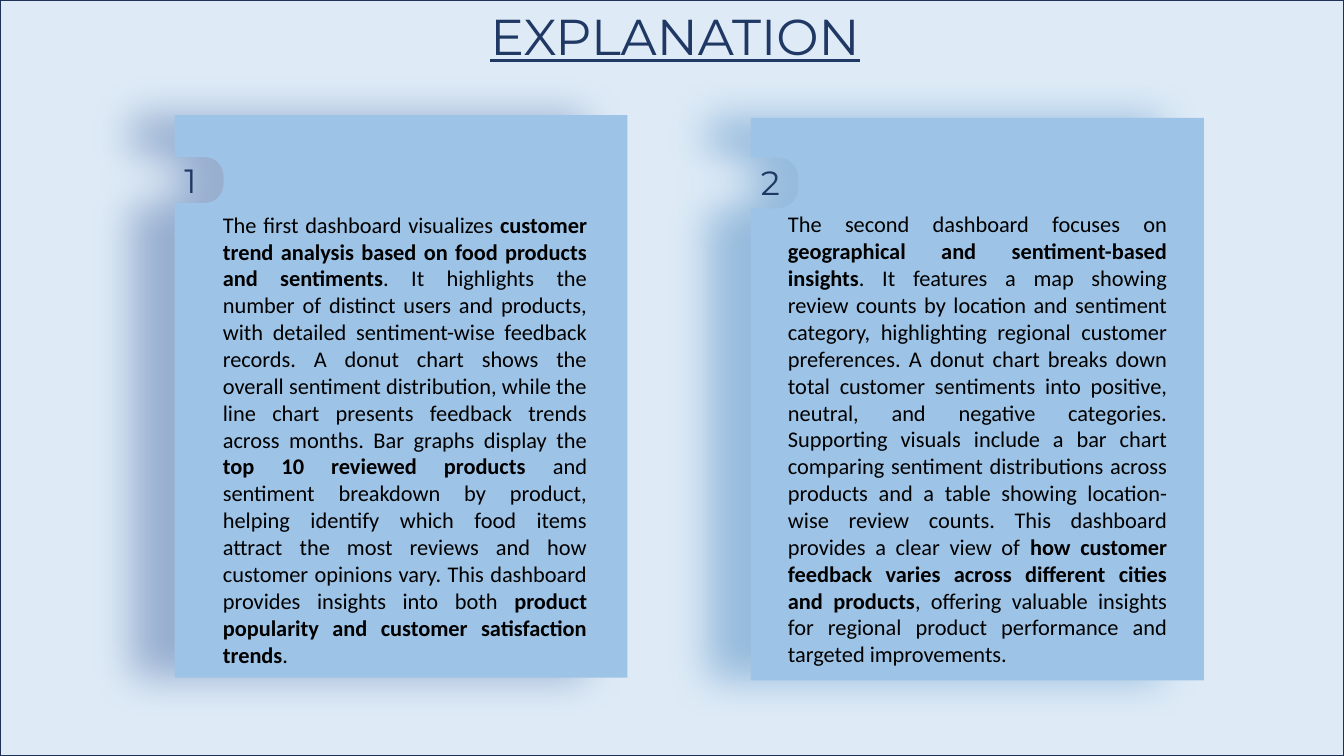
import math

import lxml.etree
import pptx
import pptx.dml.color
import pptx.enum.shapes
import pptx.enum.text
import pptx.oxml.ns
import pptx.util

Pt = pptx.util.Pt
RGB = pptx.dml.color.RGBColor
ALIGN = pptx.enum.text.PP_ALIGN
qn = pptx.oxml.ns.qn

PALE = RGB(0xDE, 0xEB, 0xF7)
CARD = RGB(0x9D, 0xC3, 0xE6)
NAVY = RGB(0x20, 0x38, 0x64)
BORDER = RGB(0x1E, 0x32, 0x56)
BLACK = RGB(0x00, 0x00, 0x00)
DEEP_BLUE = RGB(0x2F, 0x55, 0x97)
MID_BLUE = RGB(0x2E, 0x75, 0xB6)

WIDTH, HEIGHT = 960, 540
TITLE = {"name": "Montserrat", "size": Pt(36), "underline": True}
NUMBER = {"name": "Montserrat", "size": Pt(24)}
BODY = {"name": "Calibri", "size": Pt(16)}

# Body texts: every second part is bold
FIRST = [
    "The first dashboard visualizes ",
    "customer trend analysis based on food products and sentiments",
    ". It highlights the number of distinct users and products, with detailed "
    "sentiment-wise feedback records. A donut chart shows the overall sentiment "
    "distribution, while the line chart presents feedback trends across months. "
    "Bar graphs display the ",
    "top 10 reviewed products",
    " and sentiment breakdown by product, helping identify which food items "
    "attract the most reviews and how customer opinions vary. This dashboard "
    "provides insights into both ",
    "product popularity and customer satisfaction trends",
    ".",
]
SECOND = [
    "The second dashboard focuses on ",
    "geographical and sentiment-based insights",
    ". It features a map showing review counts by location and sentiment category, "
    "highlighting regional customer preferences. A donut chart breaks down total "
    "customer sentiments into positive, neutral, and negative categories. "
    "Supporting visuals include a bar chart comparing sentiment distributions "
    "across products and a table showing location-wise review counts. This "
    "dashboard provides a clear view of ",
    "how customer feedback varies across different cities and products",
    ", offering valuable insights for regional product performance and targeted "
    "improvements.",
]

# Box is left, top, width, height; tab and body are offsets and sizes in the box
CARDS = [
    {"box": (124.7, 82.2, 323.5, 401.8), "tab": (30, 35, 32.8), "number": "1",
     "number_top": 28.8, "body": (27.4, 64.8, 274.3, 337), "parts": FIRST,
     "glow": DEEP_BLUE},
    {"box": (536.4, 84.2, 323.5, 401.8), "tab": (28.2, 34, 36.5), "number": "2",
     "number_top": 28.1, "body": (19.4, 62.7, 285.1, 358.6), "parts": SECOND,
     "glow": MID_BLUE},
]


def add_shadow(sp, color, blur, dist):
    """Cast a 40 % shadow to the left."""
    sp.shadow.inherit = False
    effects = sp.element.spPr.find(qn("a:effectLst"))
    outer = lxml.etree.SubElement(
        effects, qn("a:outerShdw"), blurRad=str(Pt(blur)), dist=str(Pt(dist)),
        dir=str(180 * 60000), algn="r", rotWithShape="0")
    clr = lxml.etree.SubElement(outer, qn("a:srgbClr"), val=str(color))
    lxml.etree.SubElement(clr, qn("a:alpha"), val="40000")


def write(sp, parts, font, color, align=ALIGN.LEFT):
    """Fill a box with one paragraph whose odd parts are bold."""
    tf = sp.text_frame
    tf.word_wrap = True
    tf.auto_size = pptx.enum.text.MSO_AUTO_SIZE.SHAPE_TO_FIT_TEXT
    tf.vertical_anchor = pptx.enum.text.MSO_ANCHOR.TOP
    p = tf.paragraphs[0]
    p.alignment = align
    for i, part in enumerate(parts):
        r = p.add_run()
        r.text = part
        for key, value in font.items():
            setattr(r.font, key, value)
        r.font.bold = i % 2 == 1
        r.font.color.rgb = color


def corner(cx, cy, radius, start):
    """Points of a quarter circle, run anticlockwise on screen."""
    steps = 10
    angles = [math.radians(start - 90 * i / steps) for i in range(steps + 1)]
    return [(cx + radius * math.cos(a), cy + radius * math.sin(a)) for a in angles]


def add_frame(s):
    frame = s.shapes.add_shape(
        pptx.enum.shapes.MSO_SHAPE.RECTANGLE, 0, 0, Pt(WIDTH), Pt(HEIGHT))
    frame.fill.solid()
    frame.fill.fore_color.rgb = PALE
    frame.line.color.rgb = BORDER
    frame.line.width = Pt(1)
    add_shadow(frame, BLACK, 4, 3)
    s.shapes.title.element.addprevious(frame.element)


def add_title(s, left, top, width, height):
    title = s.shapes.title
    title.left, title.top = Pt(left), Pt(top)
    title.width, title.height = Pt(width), Pt(height)
    write(title, ["EXPLANATION"], TITLE, NAVY)


def add_card(s, box, tab, number, number_top, body, parts, glow):
    left, top, width, height = box
    group = s.shapes.add_group_shape()

    # Panel with a rounded notch on its left side
    tab_top, tab_width, tab_height = tab
    radius = 0.41 * tab_height
    tab_bottom = tab_top + tab_height
    cx = tab_width - radius
    points = [(width, 0), (width, height), (0, height), (0, tab_bottom),
              *corner(cx, tab_bottom - radius, radius, 90),
              *corner(cx, tab_top + radius, radius, 0),
              (0, tab_top)]
    builder = group.shapes.build_freeform(Pt(left), Pt(top))
    builder.add_line_segments([(Pt(left + x), Pt(top + y)) for x, y in points])
    panel = builder.convert_to_shape()
    panel.fill.solid()
    panel.fill.fore_color.rgb = CARD
    panel.line.fill.background()
    add_shadow(panel, glow, 30, 30)

    # Number in the notch and justified body text
    for (x, y, w, h), texts, font, color, align in [
            ((0, number_top, 34, 36), [number], NUMBER, NAVY, ALIGN.LEFT),
            (body, parts, BODY, BLACK, ALIGN.JUSTIFY)]:
        sp = group.shapes.add_textbox(Pt(left + x), Pt(top + y), Pt(w), Pt(h))
        write(sp, texts, font, color, align)


def main():
    prs = pptx.Presentation()
    prs.slide_width, prs.slide_height = Pt(WIDTH), Pt(HEIGHT)
    s = prs.slides.add_slide(prs.slide_layouts[5])
    add_frame(s)
    add_title(s, 343, 0, 313, 51)
    for card in CARDS:
        add_card(s, **card)
    prs.save("out.pptx")


if __name__ == "__main__":
    main()
